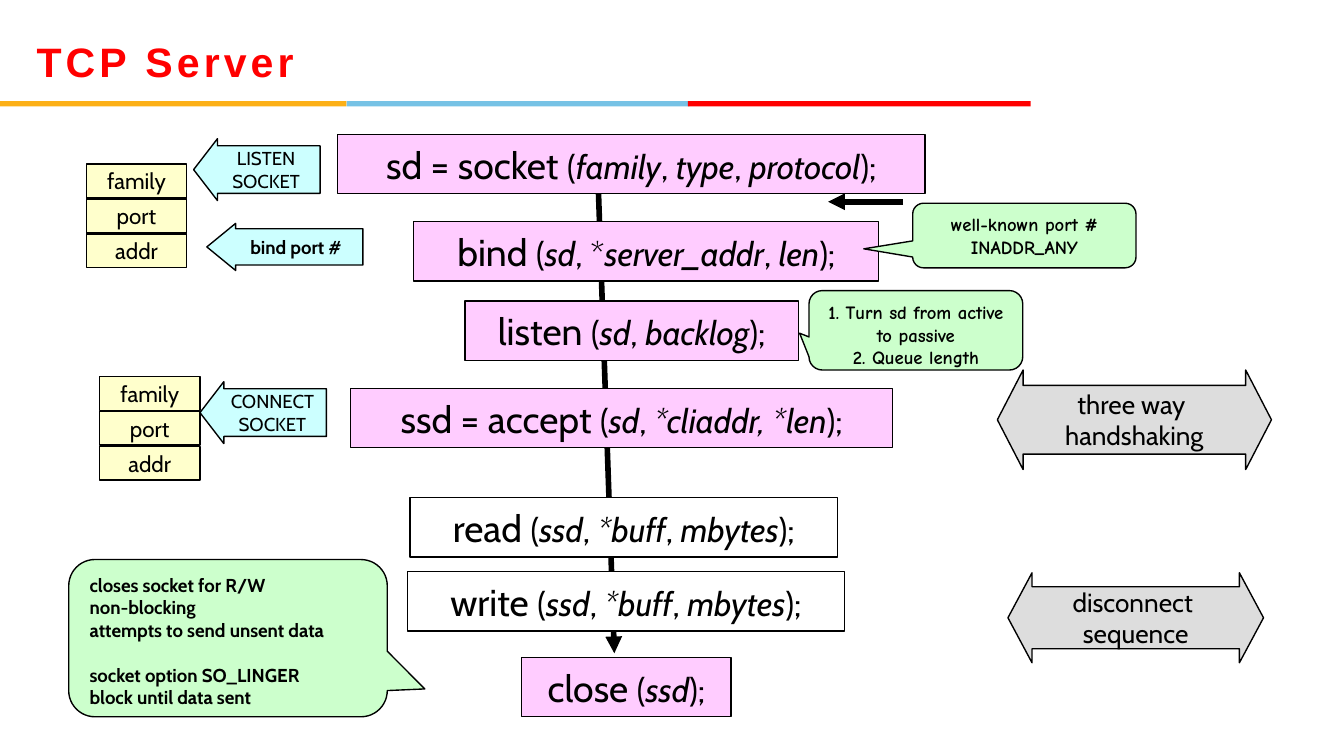
from dataclasses import dataclass

from lxml import etree
from pptx import Presentation
from pptx import util as u
from pptx.dml.color import RGBColor
from pptx.enum import shapes, text
from pptx.oxml.ns import qn

SHAPE = shapes.MSO_SHAPE
ALIGN = text.PP_ALIGN
ANCHOR = text.MSO_ANCHOR


@dataclass(frozen=True)
class Theme:
    body: str = "Cabin"
    heading: str = "Arial"
    note: str = "Comic Neue"
    black: str = "000000"
    white: str = "FFFFFF"
    red: str = "FF0000"
    amber: str = "FCB017"
    blue: str = "76C2E5"
    pink: str = "FFCCFF"
    yellow: str = "FFFFCC"
    green: str = "CCFFCC"
    cyan: str = "CCFFFF"
    gray: str = "DDDDDD"
    title_size: int = 22
    call_size: int = 20
    args_size: int = 18
    phase_size: int = 14
    field_size: int = 12
    label_size: int = 10
    outline: float = 0.75
    thick: float = 3


class Builder:
    def __init__(self, slide, theme):
        self.s = slide
        self.t = theme

    def run(self, p, words, size, font=None, color=None, bold=False, italic=False):
        r = p.add_run()
        r.text = words
        r.font.name = font or self.t.body
        r.font.size = u.Pt(size)
        r.font.bold = bold
        r.font.italic = italic
        r.font.color.rgb = RGBColor.from_string(color or self.t.black)
        return r

    def lines(self, p, words, size, **style):
        for i, line in enumerate(words.split("\n")):
            if i:
                p.add_line_break()
            self.run(p, line, size, **style)

    def title(self, words, *box):
        sp = self.s.shapes.title
        sp.left, sp.top, sp.width, sp.height = map(u.Cm, box)
        tf = sp.text_frame
        tf.margin_left = tf.margin_right = tf.margin_top = tf.margin_bottom = 0
        tf.vertical_anchor = ANCHOR.MIDDLE
        tf.auto_size = text.MSO_AUTO_SIZE.NONE
        p = tf.paragraphs[0]
        p.alignment = ALIGN.LEFT
        r = self.run(p, words, self.t.title_size, self.t.heading, self.t.red, bold=True)
        r.font._element.set("spc", "220")

    def shape(self, kind, box, fill, adj=(), outlined=True):
        sp = self.s.shapes.add_shape(kind, *map(u.Cm, box))
        sp.shadow.inherit = False
        sp.fill.solid()
        sp.fill.fore_color.rgb = RGBColor.from_string(fill)
        if outlined:
            sp.line.color.rgb = RGBColor.from_string(self.t.black)
            sp.line.width = u.Pt(self.t.outline)
        else:
            sp.line.fill.background()
        for i, value in enumerate(adj):
            sp.adjustments[i] = value
        tf = sp.text_frame
        tf.word_wrap = False
        tf.vertical_anchor = ANCHOR.MIDDLE
        tf.paragraphs[0].alignment = ALIGN.CENTER
        return sp

    def arrow(self, *ends):
        line = self.s.shapes.add_connector(shapes.MSO_CONNECTOR.STRAIGHT, *map(u.Cm, ends))
        line.line.color.rgb = RGBColor.from_string(self.t.black)
        line.line.width = u.Pt(self.t.thick)
        etree.SubElement(line.line._get_or_add_ln(), qn("a:tailEnd"), type="triangle")
        etree.SubElement(line._element.spPr, qn("a:effectLst"))

    def call(self, name, args, left, top, width, fill):
        sp = self.shape(SHAPE.RECTANGLE, (left, top, width, 1.12), fill)
        p = sp.text_frame.paragraphs[0]
        self.run(p, name + " ", self.t.call_size)
        for i, part in enumerate(f"({args});".split("|")):
            self.run(p, part, self.t.args_size, italic=i % 2 == 1)

    def fields(self, left, top):
        for i, name in enumerate(("family", "port", "addr")):
            box = (left, top + i * 0.66, 1.9, 0.64)
            sp = self.shape(SHAPE.RECTANGLE, box, self.t.yellow)
            self.run(sp.text_frame.paragraphs[0], name, self.t.field_size)

    def block_arrow(self, kind, words, box, adj, fill, size, bold=False):
        sp = self.shape(kind, box, fill, adj)
        self.lines(sp.text_frame.paragraphs[0], words, size, bold=bold)

    def callout(self, paragraphs, box, tip, font, align=ALIGN.CENTER, gap=0):
        sp = self.shape(SHAPE.ROUNDED_RECTANGULAR_CALLOUT, box, self.t.green, (*tip, 0.167))
        tf = sp.text_frame
        tf.word_wrap = True
        tf.vertical_anchor = ANCHOR.TOP
        for i, words in enumerate(paragraphs):
            p = tf.add_paragraph() if i else tf.paragraphs[0]
            p.alignment = align
            if i and gap:
                p.space_before = u.Pt(gap)
            self.lines(p, words, self.t.label_size, font=font, bold=True)


def main():
    prs = Presentation()
    prs.slide_width, prs.slide_height = u.Cm(25.4), u.Cm(14.28)
    t = Theme()
    b = Builder(prs.slides.add_slide(prs.slide_layouts[5]), t)

    for left, width, color in ((6.55, 6.48, t.blue), (0, 6.55, t.amber), (13, 6.48, t.red)):
        b.shape(SHAPE.RECTANGLE, (left, 1.91, width, 0.1), color, outlined=False)
    b.title("TCP Server", 0.69, 0.33, 18.16, 1.63)

    b.arrow(17.07, 3.81, 15.65, 3.81)
    b.arrow(11.3, 3.33, 11.61, 12.34)

    for call in (
        ("sd = socket", "|family|, |type|, |protocol|", 6.38, 2.54, 11.1, t.pink),
        ("bind", "|sd|, *|server_addr|, |len|", 7.82, 4.19, 8.79, t.pink),
        ("listen", "|sd|, |backlog|", 8.79, 5.69, 6.3, t.pink),
        ("ssd = accept", "|sd|, |*cliaddr, *len|", 6.63, 7.34, 10.24, t.pink),
        ("read", "|ssd|, |*buff|, |mbytes|", 7.75, 9.4, 8.08, t.white),
        ("write", "|ssd|, |*buff|, |mbytes|", 7.7, 10.8, 8.26, t.white),
        ("close", "|ssd|", 9.86, 12.42, 3.96, t.pink),
    ):
        b.call(*call)

    b.fields(1.63, 3.1)
    b.fields(1.88, 7.11)

    for words, box, head, bold in (
        ("LISTEN\nSOCKET", (3.66, 2.62, 2.39, 1.17), 0.386, False),
        ("CONNECT\nSOCKET", (3.78, 7.21, 2.39, 1.17), 0.386, False),
        ("bind port #", (3.91, 4.22, 2.95, 0.89), 0.612, True),
    ):
        b.block_arrow(SHAPE.LEFT_ARROW, words, box, (0.769, head), t.cyan, t.label_size, bold)

    for words, box, head in (
        ("three way \nhandshaking", (18.85, 6.99, 5.18, 1.88), 0.259),
        ("disconnect \nsequence", (19.05, 10.82, 4.83, 1.7), 0.268),
    ):
        b.block_arrow(SHAPE.LEFT_RIGHT_ARROW, words, box, (0.69, head), t.gray, t.phase_size)

    b.callout(["well-known port #\nINADDR_ANY"], (17.25, 3.84, 4.22, 1.22), (-0.719, 0.206), t.note)
    b.callout(
        ["1. Turn sd from active to passive", "2. Queue length"],
        (15.29, 5.49, 4.04, 1.5), (-0.544, 0.037), t.note,
    )
    b.callout(
        [
            "closes socket for R/W\nnon-blocking\nattempts to send unsent data",
            "socket option SO_LINGER\nblock until data sent",
        ],
        (1.3, 10.57, 6.02, 2.97), (0.618, 0.323), t.body, ALIGN.LEFT, gap=12,
    )
    prs.save("out.pptx")


if __name__ == "__main__":
    main()
